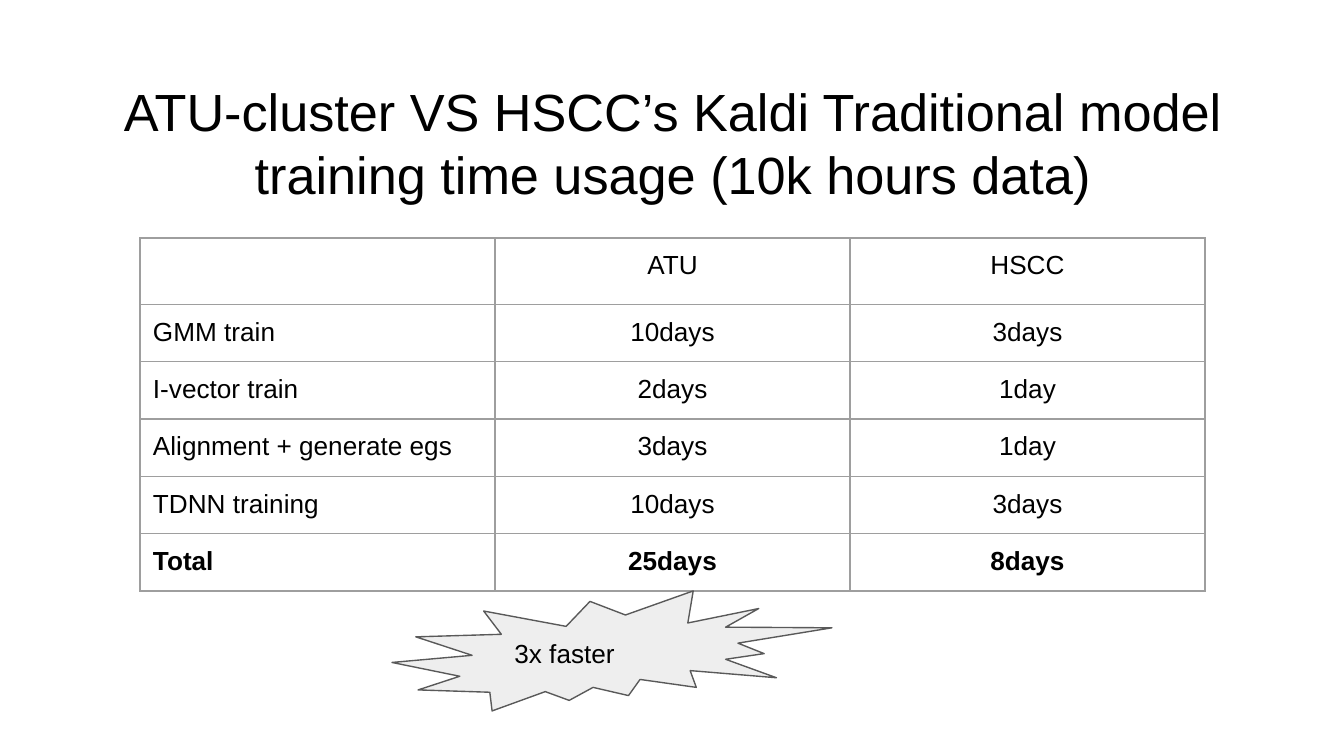
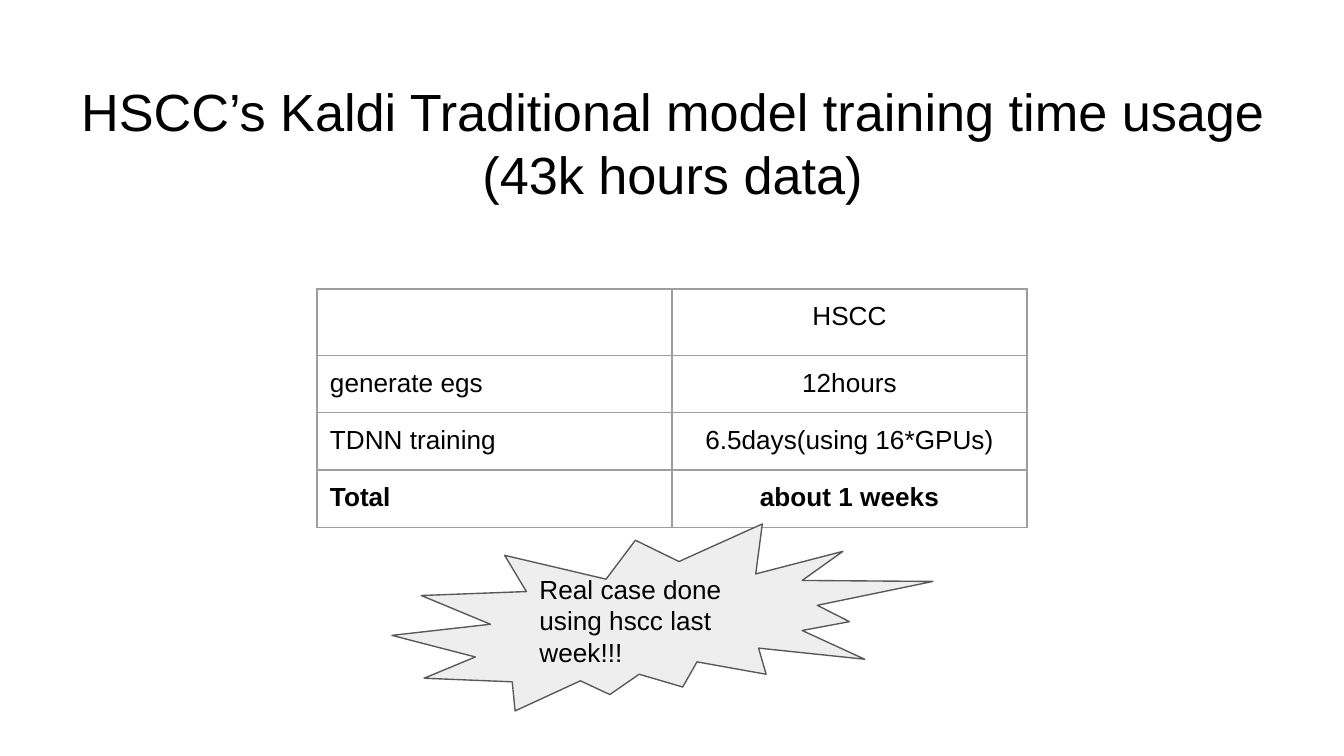
from dataclasses import dataclass

from lxml import etree
from pptx import Presentation
from pptx import util as u
from pptx.dml.color import RGBColor
from pptx.enum import shapes, text
from pptx.oxml import ns

BLANK_LAYOUT = 6


@dataclass(frozen=True)
class Theme:
    font: str = "Arial"
    ink: str = "000000"
    paper: str = "FFFFFF"
    grid: str = "9E9E9E"
    burst_fill: str = "EEEEEE"
    burst_line: str = "595959"
    title_size: int = 28
    body_size: int = 14
    line_width: float = 0.75
    inset: int = 13
    column_width: int = 355
    row_height: int = 56


THEME = Theme()
TITLE_BOX = (46, 66, 1253, 152)


def px(length):
    """Turn pixels at 134.4 to the inch into EMU."""
    return u.Emu(round(length * 914400 / 134.4))


def color(code):
    return RGBColor.from_string(code)


def write(frame, content, size, align=text.PP_ALIGN.LEFT, bold=False):
    paragraph = frame.paragraphs[0]
    paragraph.alignment = align
    run = paragraph.add_run()
    run.text = content
    run.font.name = THEME.font
    run.font.size = u.Pt(size)
    run.font.bold = bold
    run.font.color.rgb = color(THEME.ink)


def set_margins(holder):
    """Give a text frame or a table cell the shared inset."""
    holder.margin_left = holder.margin_right = px(THEME.inset)
    holder.margin_top = holder.margin_bottom = px(THEME.inset)


def add_title(slide, content, box):
    frame = slide.shapes.add_textbox(*map(px, box)).text_frame
    frame.word_wrap = True
    frame.vertical_anchor = text.MSO_ANCHOR.BOTTOM
    set_margins(frame)
    write(frame, content, THEME.title_size, text.PP_ALIGN.CENTER)


def add_borders(cell):
    properties = cell._tc.get_or_add_tcPr()
    for index, side in enumerate(("lnL", "lnR", "lnT", "lnB")):
        line = etree.Element(ns.qn(f"a:{side}"), w=str(u.Pt(THEME.line_width)))
        fill = etree.SubElement(line, ns.qn("a:solidFill"))
        etree.SubElement(fill, ns.qn("a:srgbClr"), val=THEME.grid)
        properties.insert(index, line)


def add_times_table(slide, rows, left, top):
    """Labels in the first column, centred times after it, bold totals last."""
    width = THEME.column_width * len(rows[0])
    height = THEME.row_height * len(rows)
    table = slide.shapes.add_table(
        len(rows), len(rows[0]), px(left), px(top), px(width), px(height)).table
    table.first_row = table.horz_banding = False
    for row_index, row in enumerate(rows):
        for column_index, content in enumerate(row):
            cell = table.cell(row_index, column_index)
            set_margins(cell)
            cell.fill.background()
            add_borders(cell)
            if content:
                align = text.PP_ALIGN.CENTER if column_index else text.PP_ALIGN.LEFT
                write(cell.text_frame, content, THEME.body_size, align,
                      bold=row_index == len(rows) - 1)


def add_burst(slide, content, box):
    shape = slide.shapes.add_shape(
        shapes.MSO_SHAPE.EXPLOSION2, *map(px, box))
    shape.shadow.inherit = False
    shape.fill.solid()
    shape.fill.fore_color.rgb = color(THEME.burst_fill)
    shape.line.color.rgb = color(THEME.burst_line)
    shape.line.width = u.Pt(THEME.line_width)
    frame = shape.text_frame
    frame.word_wrap = True
    frame.vertical_anchor = text.MSO_ANCHOR.MIDDLE
    set_margins(frame)
    write(frame, content, THEME.body_size)


def add_times_slide(presentation, title, rows, table_corner, remark, burst_box):
    slide = presentation.slides.add_slide(
        presentation.slide_layouts[BLANK_LAYOUT])
    slide.background.fill.solid()
    slide.background.fill.fore_color.rgb = color(THEME.paper)
    add_title(slide, title, TITLE_BOX)
    add_times_table(slide, rows, *table_corner)
    add_burst(slide, remark, burst_box)


def main():
    presentation = Presentation()
    presentation.slide_width, presentation.slide_height = px(1344), px(756)
    add_times_slide(
        presentation,
        "ATU-cluster VS HSCC’s Kaldi Traditional model training time usage "
        "(10k hours data)",
        [("", "ATU", "HSCC"),
         ("GMM train", "10days", "3days"),
         ("I-vector train", "2days", "1day"),
         ("Alignment + generate egs", "3days", "1day"),
         ("TDNN training", "10days", "3days"),
         ("Total", "25days", "8days")],
        (140, 238), "3x faster", (392, 591, 440, 120))
    add_times_slide(
        presentation,
        "HSCC’s Kaldi Traditional model training time usage (43k hours data)",
        [("", "HSCC"),
         ("generate egs", "12hours"),
         ("TDNN training", "6.5days(using 16*GPUs)"),
         ("Total", "about 1 weeks")],
        (317, 289), "Real case done using hscc last week!!!",
        (392, 524, 541, 187))
    presentation.save("out.pptx")


if __name__ == "__main__":
    main()
